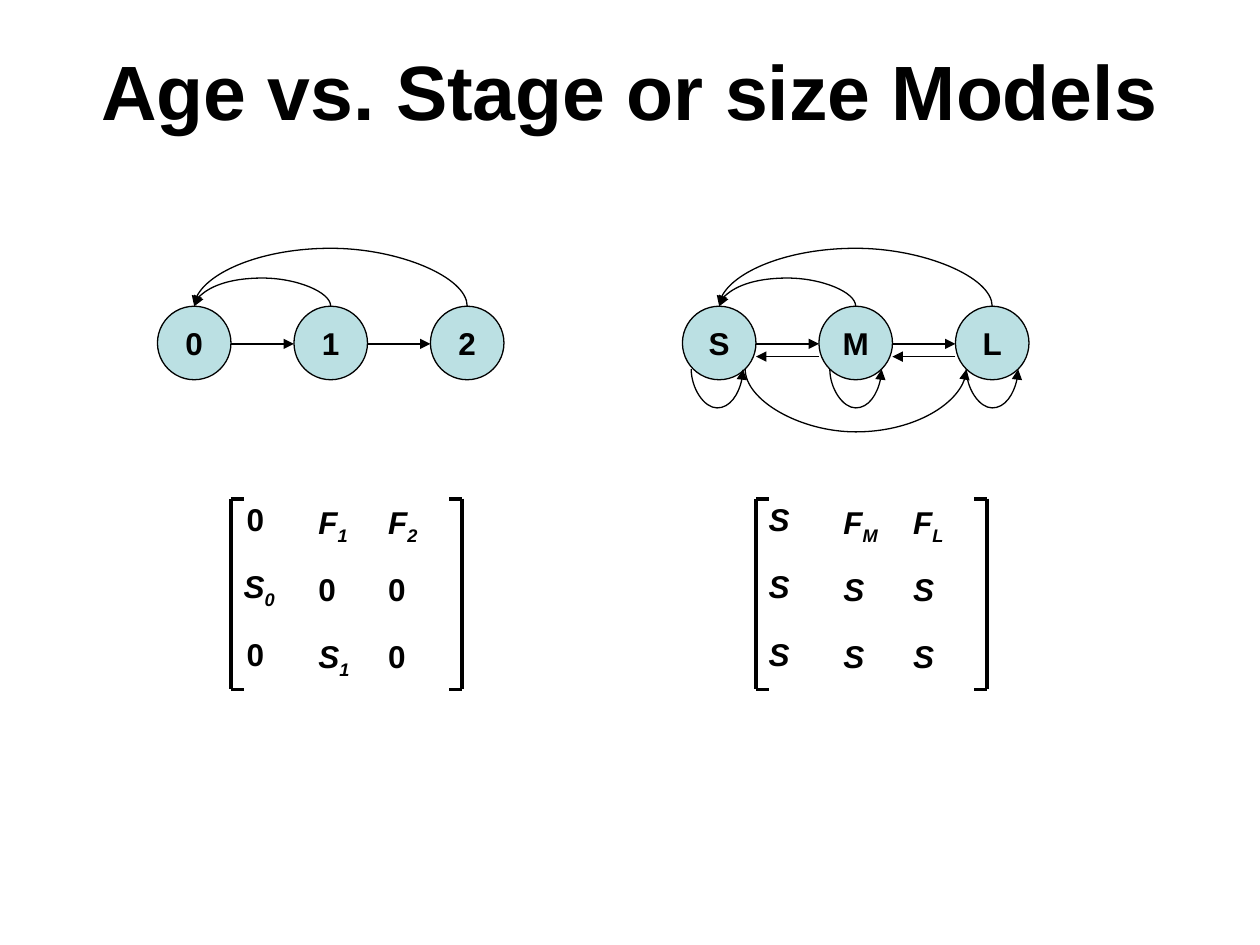
from lxml import etree
from pptx import Presentation
from pptx.dml.color import RGBColor
from pptx.enum import shapes, text
from pptx.oxml.ns import qn
from pptx.util import Pt

HUES = {"ink": "000000", "node": "BBE0E3"}
SIZE, GAP, TOP = 42, 78, 175
MID = TOP + SIZE / 2
THIN = 0.12
SIDE = 14.8


class Board:
    font = "Arial"

    def __init__(self, deck):
        self.slide = deck.slides.add_slide(deck.slide_layouts[5])

    def hue(self, name):
        return RGBColor.from_string(HUES[name])

    def style(self, para, size=18, slant=False):
        font = para.font
        font.name, font.size = self.font, Pt(size)
        font.bold, font.italic = True, slant
        font.color.rgb = self.hue("ink")

    def title(self, words):
        box = self.slide.shapes.title
        box.left, box.top, box.width, box.height = Pt(36), Pt(6.2), Pt(648), Pt(90)
        frame = box.text_frame
        frame.text = words
        frame.auto_size = text.MSO_AUTO_SIZE.NONE
        frame.vertical_anchor = text.MSO_ANCHOR.MIDDLE
        para = frame.paragraphs[0]
        para.alignment = text.PP_ALIGN.CENTER
        self.style(para, 44)

    def node(self, word, x):
        oval = self.slide.shapes.add_shape(
            shapes.MSO_SHAPE.OVAL, Pt(x), Pt(TOP), Pt(SIZE), Pt(SIZE))
        oval.shadow.inherit = False
        oval.fill.solid()
        oval.fill.fore_color.rgb = self.hue("node")
        oval.line.color.rgb = self.hue("ink")
        oval.line.width = Pt(0.75)
        frame = oval.text_frame
        frame.word_wrap = False
        frame.vertical_anchor = text.MSO_ANCHOR.MIDDLE
        frame.text = word
        para = frame.paragraphs[0]
        para.alignment = text.PP_ALIGN.CENTER
        self.style(para)

    def line(self, ends, width=0.75, kind="STRAIGHT", head=True, home=None):
        home = home or self.slide
        link = home.shapes.add_connector(
            shapes.MSO_CONNECTOR[kind], *[Pt(n) for n in ends])
        link.line.color.rgb = self.hue("ink")
        link.line.width = Pt(width)
        props = link._element.spPr
        if head:
            etree.SubElement(props.find(qn("a:ln")), qn("a:tailEnd"), type="triangle")
        etree.SubElement(props, qn("a:effectLst"))
        return props

    def curve(self, start, end, y, depth):
        mid, half = (start + end) / 2, (end - start) / 2
        props = self.line(
            (mid + THIN / 2, y - half, mid - THIN / 2, y + half), kind="CURVE")
        props.find(qn("a:xfrm")).set("rot", "16200000")
        guides = props.find(qn("a:prstGeom")).find(qn("a:avLst"))
        etree.SubElement(guides, qn("a:gd"), name="adj1",
                         fmla=f"val {round(depth / THIN * 100000)}")

    def cell(self, group, word, x, y):
        wide = 36 if len(word) > 1 else 24.5 if word == "0" else 26.6
        box = group.shapes.add_textbox(Pt(x), Pt(y), Pt(wide), Pt(29))
        frame = box.text_frame
        frame.word_wrap = False
        frame.auto_size = text.MSO_AUTO_SIZE.SHAPE_TO_FIT_TEXT
        para = frame.paragraphs[0]
        para.add_run().text = word[0]
        if word[1:]:
            sub = para.add_run()
            sub.text = word[1:]
            sub.font._element.set("baseline", "-25000")
        self.style(para, slant=word != "0")

    def matrix(self, rows, x):
        group = self.slide.shapes.add_group_shape()
        top, base = 285, 394
        for edge, tick in ((x + 174, -7.6), (x + 42, 7.6)):
            self.line((edge, top, edge, base), 2, head=False, home=group)
            for y in (base, top):
                self.line((edge, y, edge + tick, y), 2, head=False, home=group)
        for r, row in enumerate(rows):
            for c, word in enumerate(row):
                left = (43.9 if word == "0" else 42.2, 84.8, 124.7)[c]
                drop = 1.5 if c else 0
                self.cell(group, word, x + left, 282.2 + 38.5 * r + drop)

    def model(self, x, names, rows):
        self.matrix(rows, x)
        for i, name in enumerate(names):
            self.node(name, x + i * GAP)
        for i in range(2):
            left = x + SIZE + i * GAP
            self.line((left, MID + 0.5, left + GAP - SIZE, MID + 0.5))
        first = x + SIZE / 2
        for i, rise in ((1, 17), (2, 35)):
            self.curve(first + i * GAP, first, TOP, -rise)

    def loops(self, x):
        first, low = x + SIZE / 2, 211
        for i, shift in enumerate((-1.2, 0, 0)):
            mid = first + i * GAP + shift
            self.curve(mid - SIDE, mid + SIDE, low, 23.5)
        for i in (1, 2):
            right = x + i * GAP
            self.line((right, MID + 7.8, right - GAP + SIZE, MID + 7.8))
        self.curve(first + SIDE, first + 2 * GAP - SIDE, low, 38)


def main():
    deck = Presentation()
    deck.slide_width, deck.slide_height = Pt(720), Pt(540)
    board = Board(deck)
    board.title("Age vs. Stage or size Models")
    board.model(90, "012", [("0", "F1", "F2"), ("S0", "0", "0"), ("0", "S1", "0")])
    board.model(390, "SML", [("S", "FM", "FL"), "SSS", "SSS"])
    board.loops(390)
    deck.save("out.pptx")


if __name__ == "__main__":
    main()
